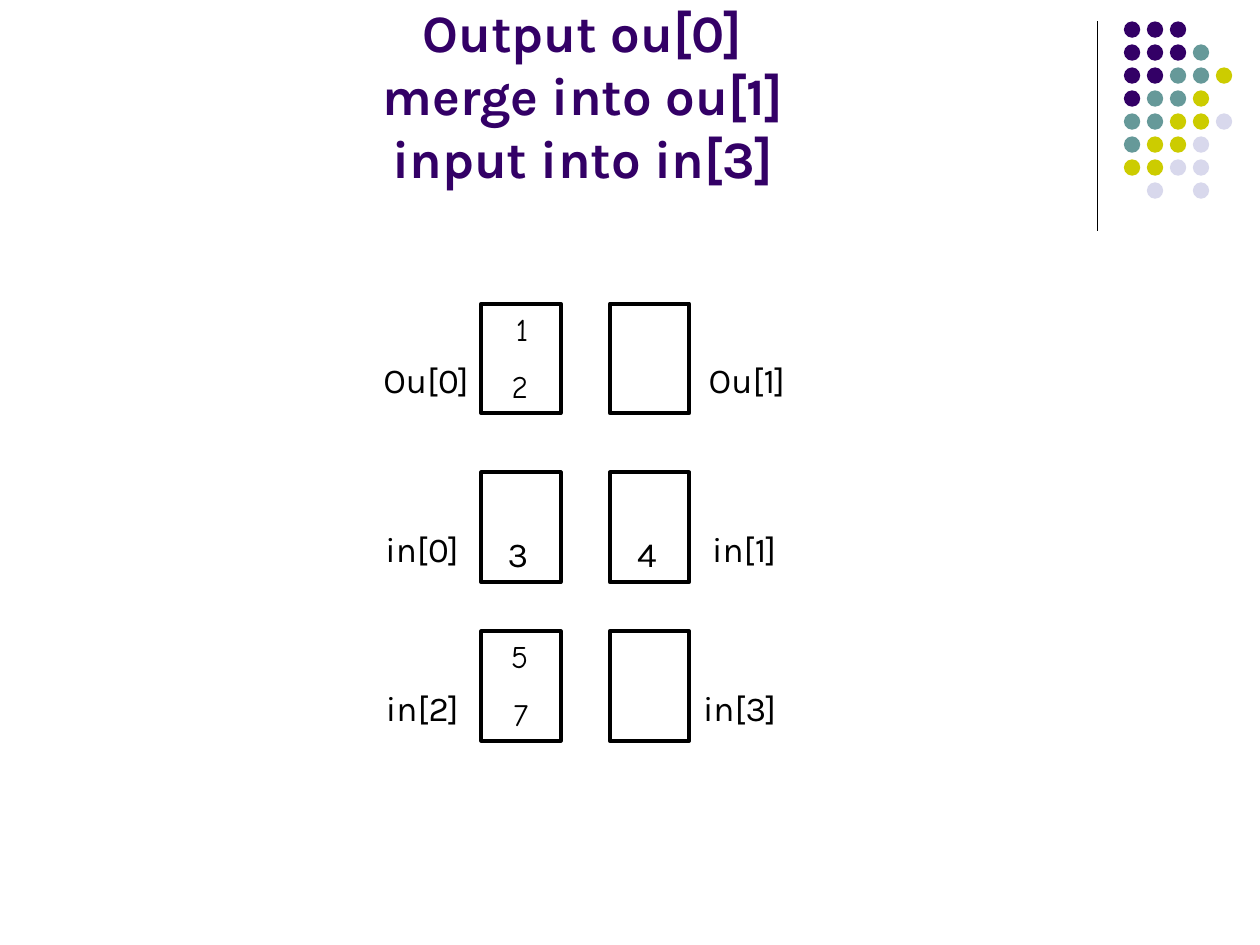
from lxml import etree
from pptx import Presentation
from pptx.dml.color import RGBColor
from pptx.enum.shapes import MSO_CONNECTOR, MSO_SHAPE
from pptx.enum.text import MSO_ANCHOR, MSO_AUTO_SIZE, PP_ALIGN
from pptx.oxml.ns import qn
from pptx.util import Inches, Pt

OVAL, RECTANGLE = MSO_SHAPE.OVAL, MSO_SHAPE.RECTANGLE
STRAIGHT = MSO_CONNECTOR.STRAIGHT
TOP, BOTTOM = MSO_ANCHOR.TOP, MSO_ANCHOR.BOTTOM
CENTER, RIGHT = PP_ALIGN.CENTER, PP_ALIGN.RIGHT
NO_AUTOFIT = MSO_AUTO_SIZE.NONE

PURPLE = RGBColor(0x33, 0x00, 0x66)
TEAL = RGBColor(0x66, 0x99, 0x99)
OLIVE = RGBColor(0xCC, 0xCC, 0x00)
LAVENDER = RGBColor(0xD8, 0xD8, 0xEC)
BLACK = RGBColor(0, 0, 0)
WHITE = RGBColor(0xFF, 0xFF, 0xFF)

prs = Presentation()
prs.slide_width, prs.slide_height = Inches(10), Inches(7.5)
slide = prs.slides.add_slide(prs.slide_layouts[5])


def add_text(left, top, width, height, lines, font, size, anchor=TOP):
    frame = slide.shapes.add_textbox(
        Inches(left), Inches(top), Inches(width), Inches(height)).text_frame
    frame.word_wrap = True
    frame.vertical_anchor = anchor
    frame.text = "\n".join(lines)
    for index, paragraph in enumerate(frame.paragraphs):
        paragraph.alignment = RIGHT
        if index:
            paragraph.space_before = Pt(11.25)
        for run in paragraph.runs:
            run.font.name = font
            run.font.size = Pt(size)
            run.font.color.rgb = BLACK


# Rule beside the dot pattern
rule = slide.shapes.add_connector(
    STRAIGHT, Inches(8.71), Inches(0.17), Inches(8.71), Inches(1.83))
rule.line.color.rgb = BLACK
rule.line.width = Pt(0.75)
etree.SubElement(rule._element.spPr, qn("a:effectLst"))

# Dot pattern, one letter per dot colour
DOT_COLORS = {"P": PURPLE, "T": TEAL, "O": OLIVE, "L": LAVENDER}
DOT_ROWS = ["PPP", "PPPT", "PPTTO", "PTTO", "TTOOL", "TOOL", "OOLL", " L L"]
DOT_PITCH = 0.73 / 4
dots = slide.shapes.add_group_shape()
for row, letters in enumerate(DOT_ROWS):
    for column, letter in enumerate(letters):
        if letter == " ":
            continue
        dot = dots.shapes.add_shape(
            OVAL, Inches(8.92 + column * DOT_PITCH),
            Inches(0.17 + row * DOT_PITCH), Inches(0.13), Inches(0.13))
        dot.shadow.inherit = False
        dot.fill.solid()
        dot.fill.fore_color.rgb = DOT_COLORS[letter]
        dot.line.fill.background()

# Title
title = slide.shapes.title
title.left, title.top = Inches(0.5), Inches(0.13)
title.width, title.height = Inches(8.25), Inches(1.42)
title.text_frame.auto_size = NO_AUTOFIT
title.text_frame.vertical_anchor = BOTTOM
heading = title.text_frame.paragraphs[0]
heading.text = "Output ou[0]\vmerge into ou[1]\vinput into in[3]"
heading.alignment = CENTER
for run in heading.runs:
    run.font.name = "Karla"
    run.font.size = Pt(30)
    run.font.bold = True
    run.font.color.rgb = PURPLE

# Buffers: label, label left and width, values; two per row
BOX_LEFTS = [3.82, 4.84]
BOX_WIDTH, BOX_HEIGHT = 0.63, 0.87
BUFFER_ROWS = [
    (2.41, [("Ou[0]", 2.8, 1.02, ["1", "2"]), ("Ou[1]", 5.31, 1.02, [])]),
    (3.75, [("in[0]", 2.8, 0.94, ["3"]), ("in[1]", 5.31, 0.95, ["4"])]),
    (5.01, [("in[2]", 2.95, 0.79, ["5", "7"]), ("in[3]", 5.39, 0.87, [])]),
]
for top, buffers in BUFFER_ROWS:
    for box_left, (label, label_left, label_width, values) in zip(BOX_LEFTS, buffers):
        box = slide.shapes.add_shape(
            RECTANGLE, Inches(box_left), Inches(top),
            Inches(BOX_WIDTH), Inches(BOX_HEIGHT))
        box.shadow.inherit = False
        box.fill.solid()
        box.fill.fore_color.rgb = WHITE
        box.line.color.rgb = BLACK
        box.line.width = Pt(2.25)

        add_text(label_left, top + 0.39, label_width, 0.44, [label], "Karla", 20)

        # A single value sits at the bottom of its buffer
        if len(values) == 1:
            add_text(box_left + 0.08, top, 0.39, 0.86, values, "Karla", 20, BOTTOM)
        elif values:
            add_text(box_left + 0.08, top, 0.39, 0.86, values, "Comic Neue", 18)

prs.save("out.pptx")
